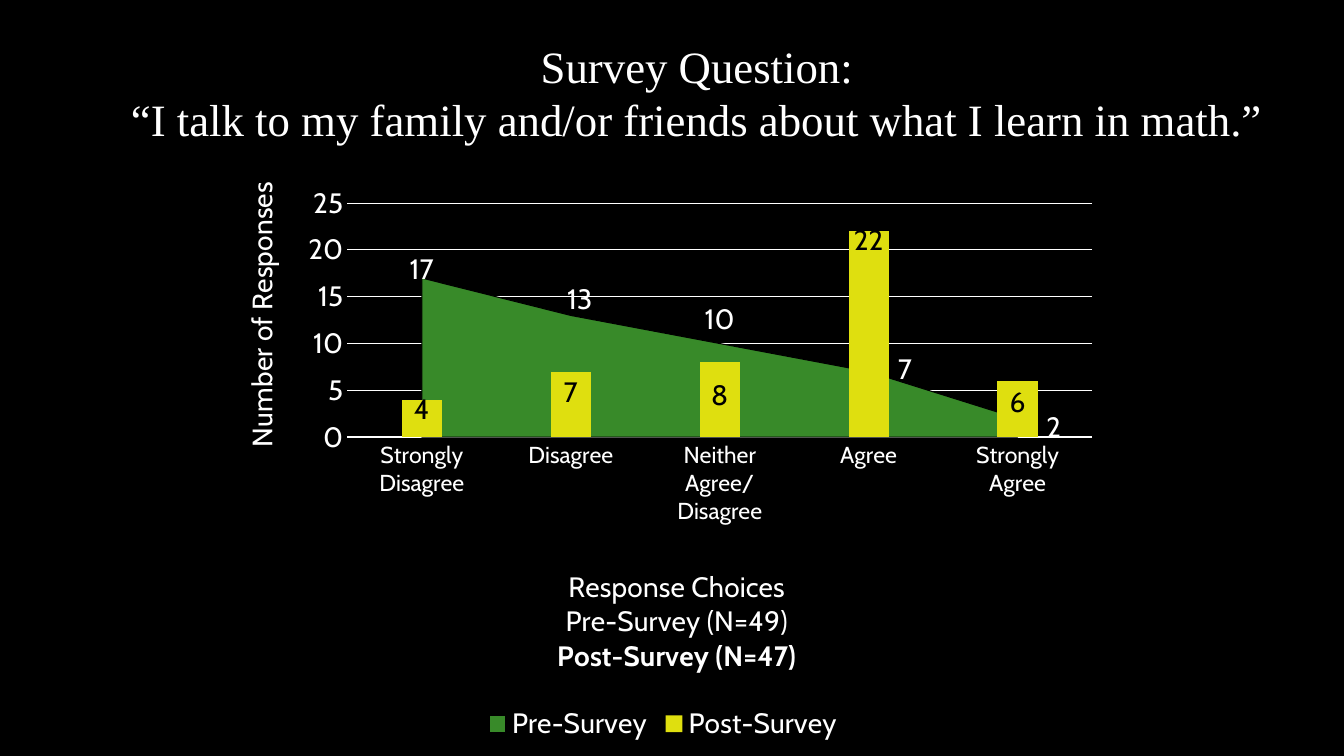
from copy import deepcopy
from lxml.etree import SubElement
from pptx import Presentation
from pptx.chart.data import CategoryChartData
from pptx.dml.color import RGBColor
from pptx.enum.chart import (XL_CHART_TYPE, XL_LABEL_POSITION,
                             XL_LEGEND_POSITION, XL_TICK_MARK)
from pptx.enum.text import MSO_ANCHOR, PP_ALIGN
from pptx.oxml import parse_xml
from pptx.oxml.ns import nsdecls, qn
from pptx.util import Cm, Pt

BLACK = RGBColor(0x00, 0x00, 0x00)
WHITE = RGBColor(0xFF, 0xFF, 0xFF)
GREEN = RGBColor(0x38, 0x8A, 0x29)
YELLOW = RGBColor(0xDF, 0xDF, 0x0F)
SANS = "Cabin"
SERIF = "Times New Roman"

CHOICES = ["Strongly Disagree", "Disagree", "Neither Agree/Disagree",
           "Agree", "Strongly Agree"]
# Label shifts by point, as shares of the chart's width and height
PRE_SHIFTS = {0: (0, -0.15), 1: (0.01, -0.13), 2: (0, -0.12),
              3: (0.04, -0.06), 4: (0.04, 0)}
POST_SHIFTS = {0: (0, -0.02), 2: (0, 0.02), 3: (0, -0.02)}


def style(font, size=20, color=WHITE, face=SANS, bold=False):
    font.size, font.name, font.bold = Pt(size), face, bold
    font.color.rgb = color


def write(frame, text, bold_last=False, **form):
    """Make a paragraph of each line; a vertical tab breaks a line."""
    lines = text.split("\n")
    for i, line in enumerate(lines):
        par = frame.add_paragraph() if i else frame.paragraphs[0]
        par.alignment = PP_ALIGN.CENTER
        par.line_spacing = 1.0
        for j, part in enumerate(line.split("\v")):
            if j:
                par.add_line_break()
            run = par.add_run()
            run.text = part
            style(run.font, bold=bold_last and i == len(lines) - 1, **form)


def layout(x, y, w=None, h=None, edge=False, inner=False):
    """Make a manual layout from shares of the chart's size."""
    root = parse_xml(f"<c:layout {nsdecls('c')}><c:manualLayout/></c:layout>")
    parts = [("layoutTarget", "inner")] if inner else []
    if edge:
        parts += [("xMode", "edge"), ("yMode", "edge")]
    parts += [("x", x), ("y", y), ("w", w), ("h", h)]
    for tag, val in parts:
        if val is not None:
            SubElement(root[0], qn(f"c:{tag}")).set("val", str(val))
    return root


def place(parent, root):
    """Set the layout of a plot area or an axis title."""
    for old in parent.findall(qn("c:layout")):
        parent.remove(old)
    text = parent.find(qn("c:tx"))
    if text is None:
        parent.insert(0, root)
    else:
        text.addnext(root)


def label(series, shifts, color, pos=None):
    tags = series.data_labels
    tags.show_value = True
    style(tags.font, color=color)
    if pos is not None:
        tags.position = pos
    for i in shifts:
        tag = series.points[i].data_label
        style(tag.font, color=color)
        if pos is not None:
            tag.position = pos
    root = tags._element
    for item in root.findall(qn("c:dLbl")):
        idx = item.find(qn("c:idx"))
        idx.addnext(layout(*shifts[int(idx.get("val"))]))
    # No leader lines
    for old in root.findall(qn("c:showLeaderLines")):
        root.remove(old)
    SubElement(root, qn("c:showLeaderLines")).set("val", "0")


def to_area(chart, series):
    """Move one series to an area plot behind the columns."""
    bars = chart.plots[0]._element
    area = parse_xml(f"<c:areaChart {nsdecls('c')}>"
                     '<c:grouping val="stacked"/><c:varyColors val="0"/>'
                     "</c:areaChart>")
    ser = series._element
    flip = ser.find(qn("c:invertIfNegative"))
    if flip is not None:
        ser.remove(flip)
    area.append(ser)
    for axis in bars.findall(qn("c:axId")):
        area.append(deepcopy(axis))
    bars.addprevious(area)


def add_head(slide, left, top, width, height):
    head = slide.shapes.title
    head.left, head.top, head.width, head.height = left, top, width, height
    frame = head.text_frame
    frame.word_wrap = False
    frame.vertical_anchor = MSO_ANCHOR.TOP
    write(frame, "Survey Question:\v“I talk to my family and/or friends "
          "about what I learn in math.”", size=32, face=SERIF)


def set_axes(chart):
    cat, val = chart.category_axis, chart.value_axis
    for axis, size in ((cat, 16.5), (val, 20)):
        axis.major_tick_mark = axis.minor_tick_mark = XL_TICK_MARK.NONE
        style(axis.tick_labels.font, size=size)
    cat.format.line.color.rgb = WHITE
    cat.format.line.width = Pt(1)
    val.format.line.fill.background()
    val.minimum_scale, val.maximum_scale, val.major_unit = 0, 25, 5
    grid = val.major_gridlines.format.line
    grid.color.rgb = WHITE
    grid.width = Pt(0.75)

    # Half a step of room beside the first and last choice
    root = val._element
    for old in root.findall(qn("c:crossBetween")):
        root.remove(old)
    root.find(qn("c:crosses")).addnext(parse_xml(
        f'<c:crossBetween {nsdecls("c")} val="between"/>'))

    # Axis titles
    write(cat.axis_title.text_frame, "Response Choices\nPre-Survey (N=49)\n"
          "Post-Survey (N=47)", bold_last=True)
    place(cat.axis_title._element, layout(0.38, 0.69, edge=True))
    side = val.axis_title.text_frame
    write(side, "Number of Responses")
    side._txBody.find(qn("a:bodyPr")).set("rot", "-5400000")
    place(val.axis_title._element, layout(0.03, 0.03, edge=True))


def add_plot(slide, left, top, width, height):
    data = CategoryChartData()
    data.categories = CHOICES
    data.add_series("Pre-Survey", [17, 13, 10, 7, 2])
    data.add_series("Post-Survey", [4, 7, 8, 22, 6])
    chart = slide.shapes.add_chart(XL_CHART_TYPE.COLUMN_CLUSTERED, left, top,
                                   width, height, data).chart
    chart.has_title = False
    style(chart.font, size=10)
    set_axes(chart)

    # Legend
    chart.has_legend = True
    chart.legend.position = XL_LEGEND_POSITION.BOTTOM
    chart.legend.include_in_layout = False
    style(chart.legend.font)

    # Series: an area before, columns after
    bars = chart.plots[0]
    bars.gap_width = 270
    bars.vary_by_categories = False
    pre, post = bars.series
    for series, color in ((pre, GREEN), (post, YELLOW)):
        series.format.fill.solid()
        series.format.fill.fore_color.rgb = color
    pre.format.line.color.rgb = BLACK
    pre.format.line.width = Pt(0.75)
    label(pre, PRE_SHIFTS, WHITE)
    label(post, POST_SHIFTS, BLACK, XL_LABEL_POSITION.INSIDE_END)
    to_area(chart, pre)
    place(chart._chartSpace.chart.plotArea,
          layout(0.152, 0.075, 0.821, 0.398, edge=True, inner=True))


def main():
    deck = Presentation()
    deck.slide_width, deck.slide_height = Cm(33.87), Cm(19.05)
    slide = deck.slides.add_slide(deck.slide_layouts[5])
    slide.background.fill.solid()
    slide.background.fill.fore_color.rgb = BLACK
    add_plot(slide, Cm(5.28), Cm(4.01), Cm(22.86), Cm(14.81))
    add_head(slide, Cm(2.92), Cm(0.84), Cm(29.29), Cm(4.37))
    deck.save("out.pptx")


if __name__ == "__main__":
    main()
